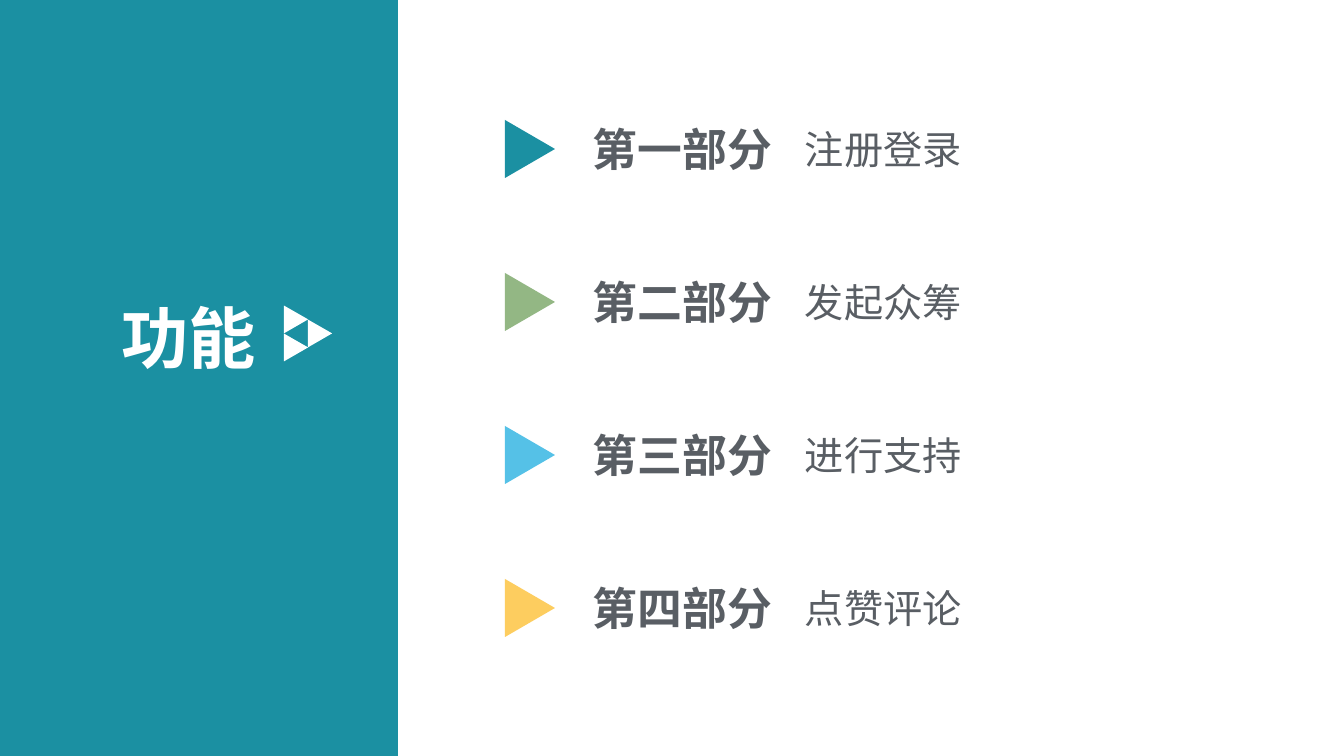
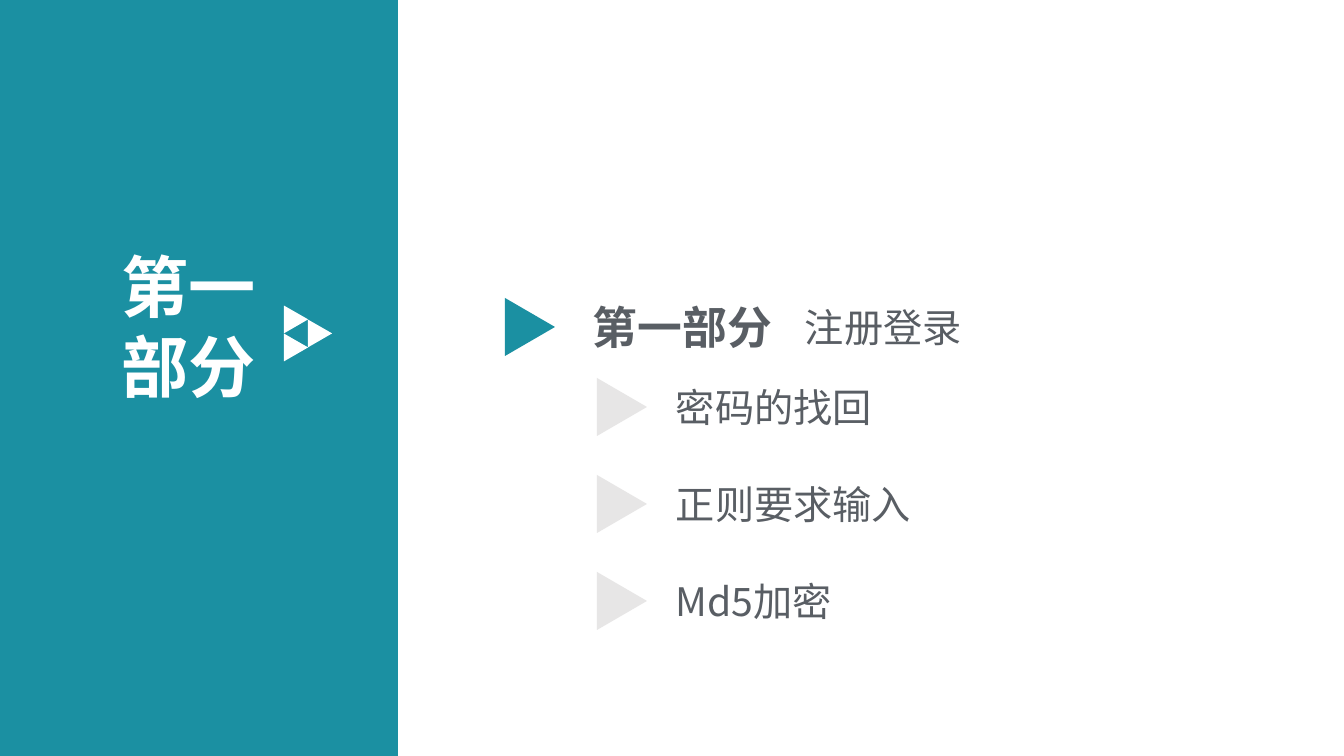
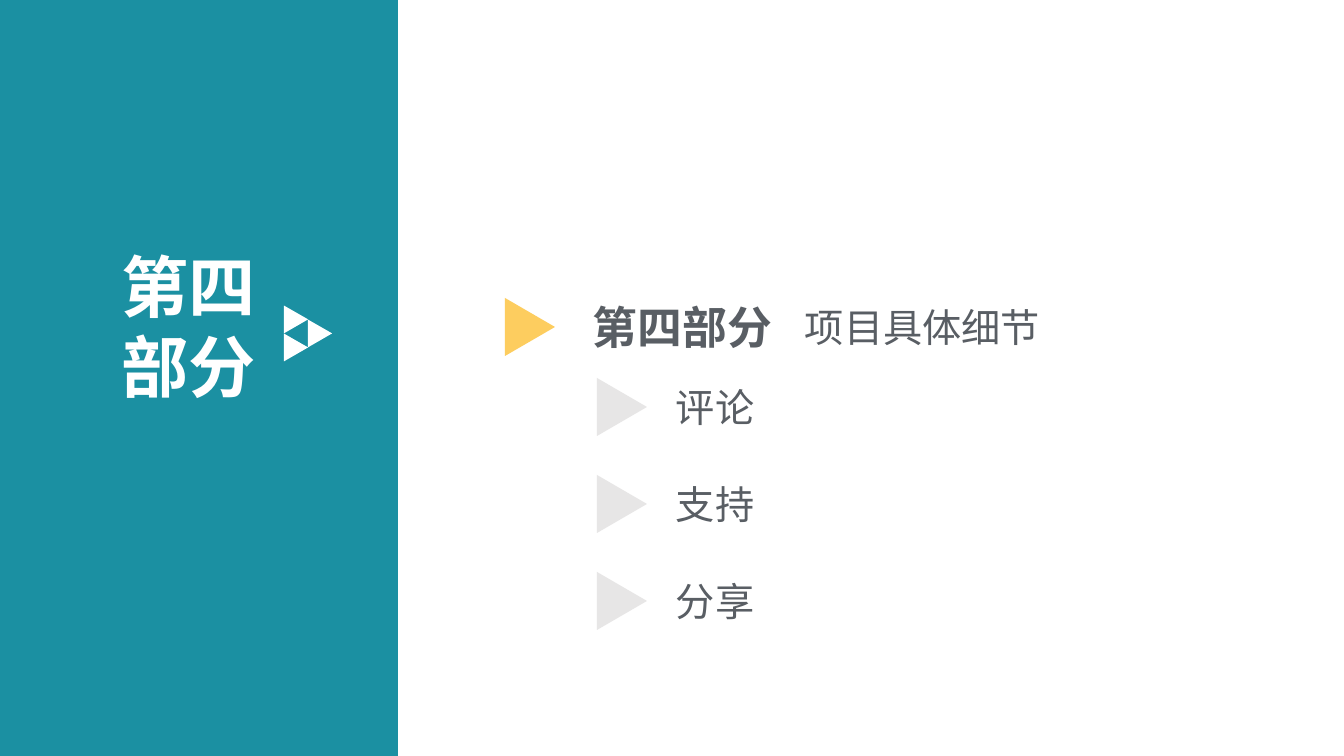
import pptx
import pptx.dml.color
import pptx.enum.shapes
import pptx.enum.text
import pptx.oxml.ns
import pptx.util
import lxml.etree

SCALE = 914400 / 100.8
FONT = "Noto Sans CJK SC"
COLORS = {
    "teal": "1B90A2",
    "green": "93B784",
    "blue": "55C1E7",
    "yellow": "FDCD5F",
    "gray": "E7E6E6",
    "text": "595E64",
    "white": "FFFFFF",
}
STYLES = {
    "title": {"size": pptx.util.Pt(48), "bold": True, "name": FONT},
    "part": {"size": pptx.util.Pt(32), "bold": True, "name": FONT},
    "topic": {"size": pptx.util.Pt(28), "bold": False, "name": FONT},
}
SHAPES = pptx.enum.shapes.MSO_SHAPE
FRAME = {
    "word_wrap": True,
    "auto_size": pptx.enum.text.MSO_AUTO_SIZE.SHAPE_TO_FIT_TEXT,
    "vertical_anchor": pptx.enum.text.MSO_ANCHOR.TOP,
}


def px(n):
    return pptx.util.Emu(round(n * SCALE))


def rgb(color):
    return pptx.dml.color.RGBColor.from_string(COLORS[color])


def set_attrs(obj, values):
    for key, value in values.items():
        setattr(obj, key, value)


def add_shape(slide, kind, box, color, rotation=0):
    sp = slide.shapes.add_shape(kind, *map(px, box))
    sp.shadow.inherit = False
    sp.fill.solid()
    sp.fill.fore_color.rgb = rgb(color)
    sp.line.fill.background()
    sp.rotation = rotation


def write(sp, text, style, color):
    tf = sp.text_frame
    set_attrs(tf, FRAME)
    p = tf.paragraphs[0]
    p.alignment = pptx.enum.text.PP_ALIGN.LEFT
    r = p.add_run()
    r.text = text
    set_attrs(r.font, STYLES[style])
    r.font.color.rgb = rgb(color)
    ea = lxml.etree.SubElement(r._r.get_or_add_rPr(), pptx.oxml.ns.qn("a:ea"))
    ea.set("typeface", FONT)


def add_label(slide, left, middle, width, height, text, style):
    sp = slide.shapes.add_textbox(*map(px, (left, middle - height // 2, width, height)))
    write(sp, text, style, "text")


def add_marker(slide, center, middle, color):
    add_shape(slide, SHAPES.ISOSCELES_TRIANGLE, (center - 29, middle - 25, 58, 50), color, 90)


def add_part(slide, middle, color, part, topic):
    add_marker(slide, 530, middle, color)
    add_label(slide, 583, middle, 213, 64, part, "part")
    add_label(slide, 795, middle, 403, 58, topic, "topic")


def add_detail(slide, middle, text):
    add_marker(slide, 622, middle, "gray")
    add_label(slide, 666, middle, 403, 58, text, "topic")


def add_slide(prs, title, top, height):
    slide = prs.slides.add_slide(prs.slide_layouts[5])
    add_shape(slide, SHAPES.RECTANGLE, (0, 0, 398, 756), "teal")
    for left, mark_top in ((276, 304), (276, 332), (300, 318)):
        add_shape(slide, SHAPES.ISOSCELES_TRIANGLE, (left, mark_top, 28, 24), "white", 330)
    sp = slide.shapes.title
    set_attrs(sp, {"left": px(111), "top": px(top), "width": px(175), "height": px(height)})
    write(sp, title, "title", "white")
    slide.shapes._spTree.append(sp._element)
    return slide


def add_overview(prs, title, parts):
    slide = add_slide(prs, title, 291, 92)
    for i, part in enumerate(parts):
        add_part(slide, 149 + 153 * i, *part)


def add_section(prs, color, part, topic, details):
    slide = add_slide(prs, part, 240, 173)
    add_part(slide, 327, color, part, topic)
    for i, detail in enumerate(details):
        add_detail(slide, 407 + 97 * i, detail)


def main():
    prs = pptx.Presentation()
    set_attrs(prs, {"slide_width": px(1344), "slide_height": px(756)})
    add_overview(prs, "功能", [
        ("teal", "第一部分", "注册登录"),
        ("green", "第二部分", "发起众筹"),
        ("blue", "第三部分", "进行支持"),
        ("yellow", "第四部分", "点赞评论"),
    ])
    add_section(prs, "teal", "第一部分", "注册登录", ["密码的找回", "正则要求输入", "Md5加密"])
    add_section(prs, "yellow", "第四部分", "项目具体细节", ["评论", "支持", "分享"])
    prs.save("out.pptx")


if __name__ == "__main__":
    main()
